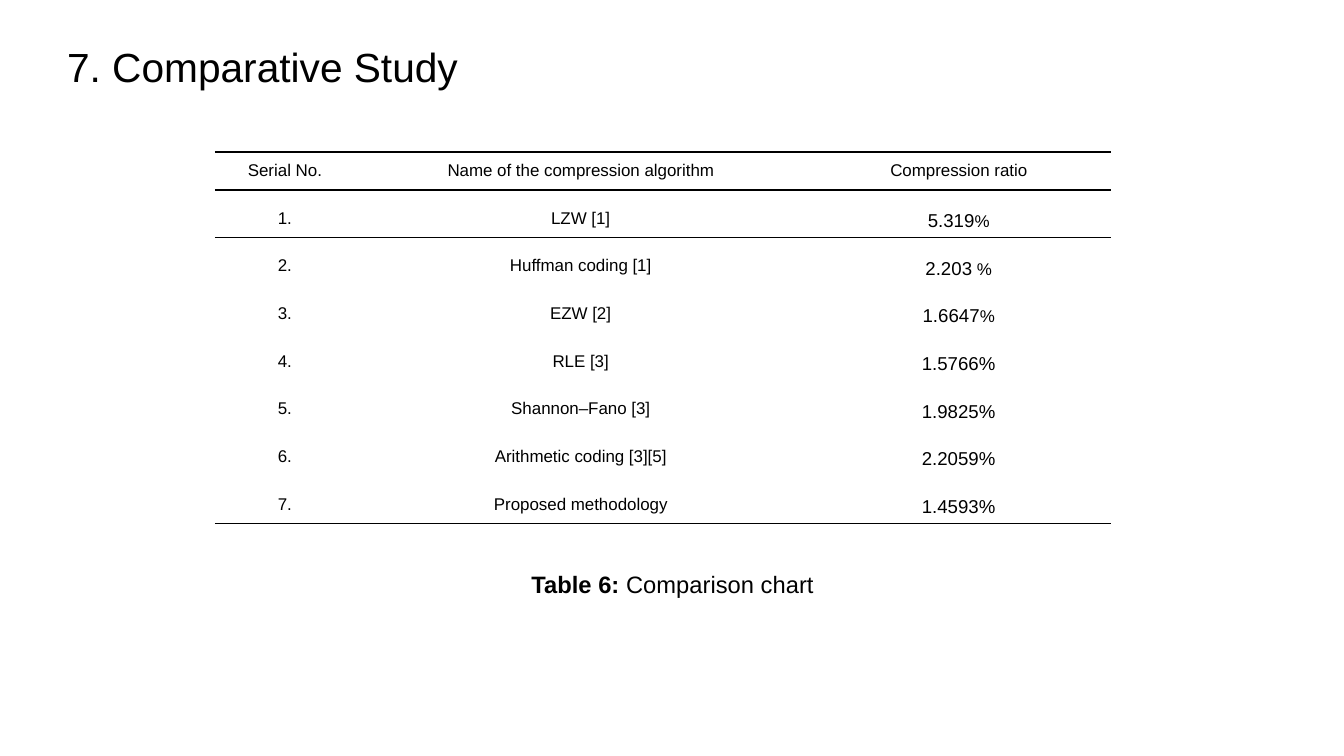
"""Build a slide with a table that compares compression ratios."""
import pptx
import pptx.util
import pptx.dml.color
import pptx.enum.text
import pptx.oxml
import pptx.oxml.ns

Pt = pptx.util.Pt
ALIGN = pptx.enum.text.PP_ALIGN
MIDDLE = pptx.enum.text.MSO_ANCHOR.MIDDLE
COLORS = {"ink": "000000"}
WIDTHS = (82.8, 266.4, 180)
HEAD, BODY = 22.4, 28.15
ROWS = (
    ("Serial No.", "Name of the compression algorithm", "Compression ratio"),
    ("1.", "LZW [1]", (("5.319", 11), ("%", 10))),
    ("2.", "Huffman coding [1]", (("2.203", 11), (" %", 10))),
    ("3.", "EZW [2]", (("1.6647", 11), ("%", 10))),
    ("4.", "RLE [3]", (("1.5766%", 11),)),
    ("5.", "Shannon–Fano [3]", (("1.9825%", 11),)),
    ("6.", "Arithmetic coding [3][5]", (("2.2059%", 11),)),
    ("7.", "Proposed methodology", (("1.4593%", 11),)),
)
RULED = {0, 1, 2, len(ROWS)}


def assign(target, **values):
    """Set each named value on the target."""
    for name, value in values.items():
        setattr(target, name, value)


def write(para, runs, **form):
    """Fill a paragraph with runs of text, size and optional weight."""
    assign(para, **form)
    for text, size, *bold in runs:
        run = para.add_run()
        run.text = text
        assign(run.font, name="Arial", size=Pt(size), bold=bool(bold and bold[0]))
        run.font.color.rgb = pptx.dml.color.RGBColor.from_string(COLORS["ink"])


def add_label(slide, box, runs, align, inset):
    """Add a text box with centred height."""
    frame = slide.shapes.add_textbox(*map(Pt, box)).text_frame
    across, down = map(Pt, inset)
    assign(frame, word_wrap=True, vertical_anchor=MIDDLE, margin_left=across,
           margin_right=across, margin_top=down, margin_bottom=down)
    write(frame.paragraphs[0], runs, alignment=align)


def add_edge(cell, side, drawn):
    """Draw or clear one border of a cell."""
    fill = (f'<a:solidFill><a:srgbClr val="{COLORS["ink"]}"/></a:solidFill>'
            if drawn else "<a:noFill/>")
    cell._tc.get_or_add_tcPr().append(pptx.oxml.parse_xml(
        f'<a:ln{side} {pptx.oxml.ns.nsdecls("a")} w="{Pt(1)}">{fill}</a:ln{side}>'))


def fill_cell(cell, entry, row):
    """Write and style one cell of the given row."""
    runs = ((entry, 10),) if isinstance(entry, str) else entry
    assign(cell, margin_left=Pt(5), margin_right=Pt(5), margin_top=0, margin_bottom=0)
    write(cell.text_frame.paragraphs[0], runs, alignment=ALIGN.CENTER,
          line_spacing=2.0 if row else 1.5)
    edges = {"L": False, "R": False, "T": row in RULED, "B": row + 1 in RULED}
    for side, drawn in edges.items():
        add_edge(cell, side, drawn)
    cell.fill.background()


def add_grid(slide, left, top):
    """Add the table of ratios."""
    heights = [HEAD] + [BODY] * (len(ROWS) - 1)
    box = (left, top, sum(WIDTHS), sum(heights))
    table = slide.shapes.add_table(len(ROWS), len(WIDTHS), *map(Pt, box)).table
    assign(table, first_row=False, horz_banding=False)
    for column, width in zip(table.columns, WIDTHS):
        column.width = Pt(width)
    for row, entries in enumerate(ROWS):
        table.rows[row].height = Pt(heights[row])
        for column, entry in enumerate(entries):
            fill_cell(table.cell(row, column), entry, row)


def main():
    """Build and save the slide."""
    deck = pptx.Presentation()
    assign(deck, slide_width=Pt(793.44), slide_height=Pt(446.4))
    slide = deck.slides.add_slide(deck.slide_layouts[6])
    add_label(slide, (39.6, 18, 704, 42), [("7. Comparative Study", 24)],
              ALIGN.LEFT, (0, 0))
    add_grid(slide, 126.8, 89.8)
    add_label(slide, (237.6, 332.6, 319, 24.5),
              [("Table 6: ", 14, True), ("Comparison chart", 14)],
              ALIGN.CENTER, (7.2, 3.6))
    deck.save("out.pptx")


if __name__ == "__main__":
    main()
